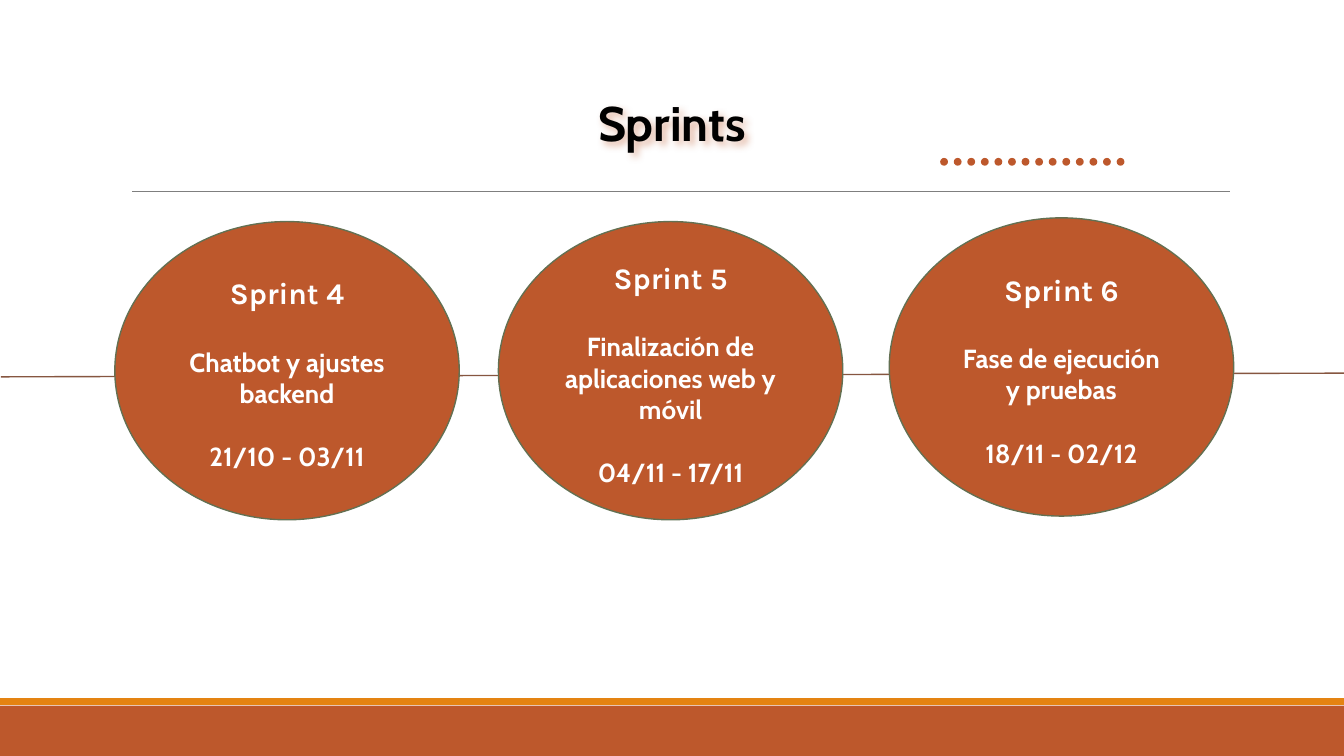
from lxml.etree import SubElement
from pptx import Presentation
from pptx.dml.color import RGBColor
from pptx.enum.shapes import MSO_CONNECTOR as CONN, MSO_SHAPE as SHAPE
from pptx.enum.text import MSO_ANCHOR as ANCHOR, PP_ALIGN as ALIGN
from pptx.oxml.ns import qn
from pptx.util import Pt


def rgb(value):
    return RGBColor.from_string(value)


class Deck:
    RUST, ORANGE, WHITE, BLACK = "BD582C", "E48312", "FFFFFF", "000000"
    GREY, BROWN, GREEN = "7F7F7F", "865640", "637052"
    HEAD, BODY = "Karla", "Cabin"

    def __init__(self, prs):
        self.s = prs.slides.add_slide(prs.slide_layouts[5])

    def font(self, p, name, size, color):
        p.alignment = ALIGN.CENTER
        for r in p.runs:
            r.font.name, r.font.size, r.font.bold = name, Pt(size), True
            r.font.color.rgb = rgb(color)

    def frame(self, sp, top, bottom):
        tf = sp.text_frame
        tf.word_wrap, tf.vertical_anchor = True, ANCHOR.MIDDLE
        tf.margin_left = tf.margin_right = Pt(7.2)
        tf.margin_top, tf.margin_bottom = Pt(top), Pt(bottom)
        return tf

    def title(self, text, x, y, w, h):
        sp = self.s.shapes.title
        sp.left, sp.top, sp.width, sp.height = Pt(x), Pt(y), Pt(w), Pt(h)
        tf = self.frame(sp, 7.2, 7.2)
        tf.text = text
        self.font(tf.paragraphs[0], self.BODY, 26, self.BLACK)
        # Soft glow-like shadow behind the letters
        effects = SubElement(sp._element.spPr, qn("a:effectLst"))
        shadow = SubElement(effects, qn("a:outerShdw"), blurRad=str(Pt(4)),
                            dist=str(Pt(2)), dir="2700000")
        color = SubElement(shadow, qn("a:srgbClr"), val=self.RUST)
        SubElement(color, qn("a:alpha"), val="40000")

    def shape(self, kind, x, y, w, h, fill, line=None, parent=None):
        shapes = (parent or self.s).shapes
        sp = shapes.add_shape(kind, Pt(x), Pt(y), Pt(w), Pt(h))
        sp.shadow.inherit = False
        sp.fill.solid()
        sp.fill.fore_color.rgb = rgb(fill)
        if line:
            sp.line.color.rgb = rgb(line)
            sp.line.width = Pt(0.75)
        else:
            sp.line.fill.background()
        return sp

    def line(self, x1, y1, x2, y2, color):
        c = self.s.shapes.add_connector(CONN.STRAIGHT, Pt(x1), Pt(y1), Pt(x2), Pt(y2))
        c.line.color.rgb = rgb(color)
        c.line.width = Pt(0.75)
        SubElement(c._element.spPr, qn("a:effectLst"))

    def dots(self, x, y, size, pitch, count):
        group = self.s.shapes.add_group_shape()
        for i in range(count):
            self.shape(SHAPE.OVAL, x + i * pitch, y, size, size, self.RUST, parent=group)

    def sprint(self, x, y, name, goal, dates):
        sp = self.shape(SHAPE.OVAL, x, y, 184.5, 159.8, self.RUST, self.GREEN)
        tf = self.frame(sp, 3, 0)
        rows = [(name, self.HEAD, 16, 0), (goal, self.BODY, 14, 19),
                (dates, self.BODY, 14, 17)]
        for i, (text, font, size, gap) in enumerate(rows):
            p = tf.add_paragraph() if i else tf.paragraphs[0]
            p.text = text
            if gap:
                p.space_before = Pt(gap)
            self.font(p, font, size, self.WHITE)


def main():
    prs = Presentation()
    prs.slide_width, prs.slide_height = Pt(720), Pt(405)
    d = Deck(prs)

    # Footer bands and title rule
    d.shape(SHAPE.RECTANGLE, 0, 378, 720, 27, d.RUST)
    d.shape(SHAPE.RECTANGLE, 0, 374, 720, 3.7, d.ORANGE)
    d.line(70.8, 102.6, 658.8, 102.6, d.GREY)

    # Title and dotted accent
    d.title("Sprints", 56.2, 42.5, 607.6, 45.4)
    d.dots(503.7, 84.6, 4.2, 7.27, 14)

    # Timeline
    d.line(0.5, 201.9, 720.5, 199.9, d.BROWN)
    sprints = [
        (61.5, 118.7, "Sprint 4", "Chatbot y ajustes backend", "21/10 - 03/11"),
        (267, 118.7, "Sprint 5", "Finalización de aplicaciones web y móvil", "04/11 - 17/11"),
        (476.4, 116.7, "Sprint 6", "Fase de ejecución y pruebas", "18/11 - 02/12"),
    ]
    for sprint in sprints:
        d.sprint(*sprint)

    prs.save("out.pptx")


if __name__ == "__main__":
    main()
